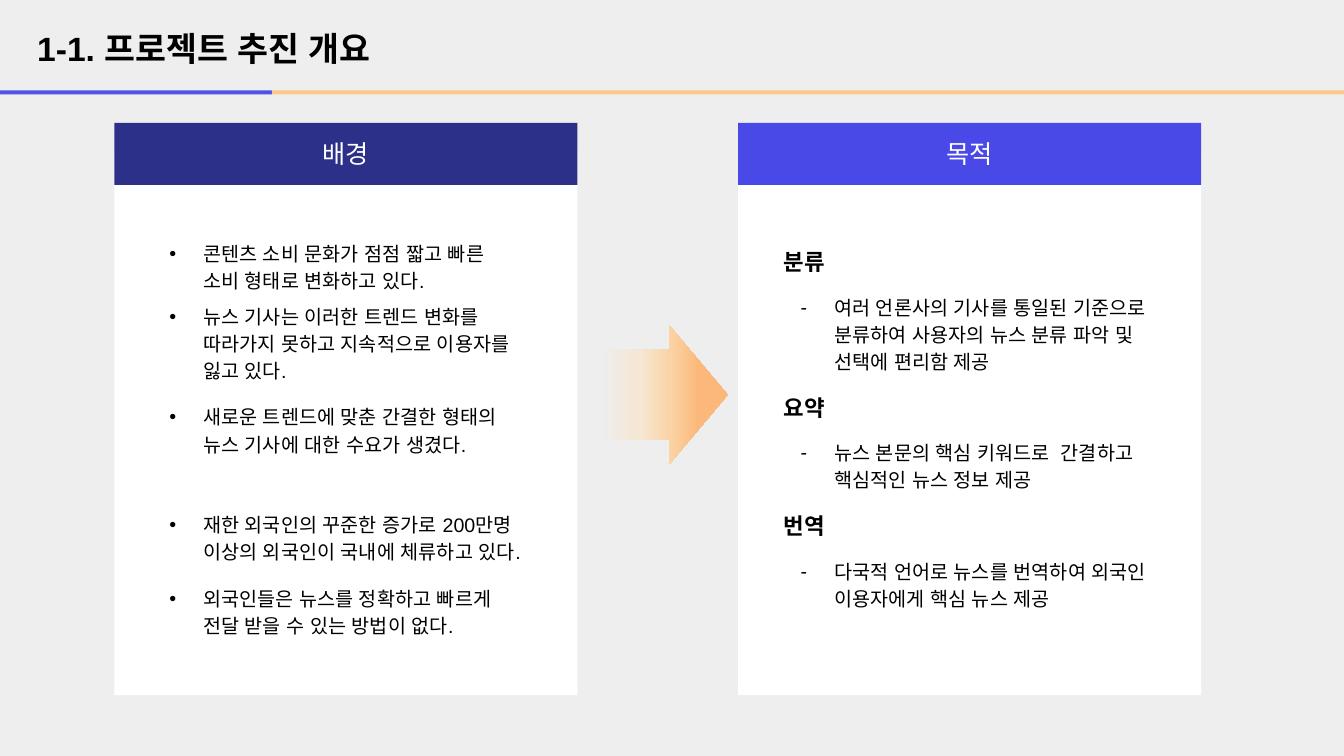
from lxml.etree import SubElement
from pptx import Presentation
from pptx.dml.color import RGBColor
from pptx.enum.shapes import MSO_CONNECTOR as Connector, MSO_SHAPE as Shape
from pptx.enum.text import MSO_ANCHOR as Anchor, MSO_AUTO_SIZE as AutoSize, PP_ALIGN as Align
from pptx.oxml.ns import qn
from pptx.util import Pt

PX = 9525
FONT = "Arial"
BLACK, WHITE, PAPER = "000000", "FFFFFF", "EEEEEE"
NAVY, BLUE, ORANGE = "2C3089", "4949E8", "FFC785"


def rgb(value):
    return RGBColor.from_string(value)


def emu(*lengths):
    return [length * PX for length in lengths]


def add_node(parent, tag, **attributes):
    return SubElement(parent, qn(tag), {key: str(value) for key, value in attributes.items()})


def assign(target, values):
    for key, value in values.items():
        setattr(target, key, value)


class Deck:
    def __init__(self, width, height):
        self.presentation = Presentation()
        assign(self.presentation, {"slide_width": width * PX, "slide_height": height * PX})
        self.slide = self.presentation.slides.add_slide(self.presentation.slide_layouts[6])
        background = self.slide.background.fill
        background.solid()
        background.fore_color.rgb = rgb(PAPER)

    def add_words(self, paragraph, words, size, color=BLACK, bold=False, **layout):
        assign(paragraph, layout)
        run = paragraph.add_run()
        run.text = words
        assign(run.font, {"size": Pt(size), "name": FONT, "bold": bold})
        run.font.color.rgb = rgb(color)
        add_node(run.font._element, "a:ea", typeface=FONT)

    def bullet(self, paragraph, mark):
        properties = paragraph._p.get_or_add_pPr()
        properties.set("marL", str(48 * PX))
        properties.set("indent", str(-32 * PX))
        add_node(add_node(properties, "a:buClr"), "a:srgbClr", val=BLACK)
        add_node(properties, "a:buFont", typeface=FONT)
        add_node(properties, "a:buChar", char=mark)

    def shape(self, kind, box):
        shape = self.slide.shapes.add_shape(kind, *emu(*box))
        shape.shadow.inherit = False
        shape.line.fill.background()
        return shape

    def block(self, box, color, words=""):
        block = self.shape(Shape.RECTANGLE, box)
        block.fill.solid()
        block.fill.fore_color.rgb = rgb(color)
        if words:
            block.text_frame.vertical_anchor = Anchor.MIDDLE
            self.add_words(block.text_frame.paragraphs[0], words, 18, WHITE, alignment=Align.CENTER)

    def panel(self, left, heading, color):
        self.block((left, 143, 441, 519), WHITE)
        self.block((left, 117, 441, 59), color, heading)

    def arrow(self, box, stops):
        arrow = self.shape(Shape.DOWN_ARROW, box)
        arrow.rotation = 270
        arrow.adjustments[0], arrow.adjustments[1] = 0.65, 0.42
        arrow.fill.gradient()
        arrow.fill.gradient_angle = 270
        stop_list = arrow._element.spPr.find(qn("a:gradFill")).find(qn("a:gsLst"))
        stop_list.clear()
        for percent, color in stops:
            stop = add_node(stop_list, "a:gs", pos=percent * 1000)
            add_node(stop, "a:srgbClr", val=color)

    def text(self, box):
        frame = self.slide.shapes.add_textbox(*emu(*box)).text_frame
        assign(frame, {"word_wrap": True, "auto_size": AutoSize.SHAPE_TO_FIT_TEXT})
        return frame

    def title(self, box, words):
        self.add_words(self.text(box).paragraphs[0], words, 24, bold=True)

    def passage(self, box, entries):
        frame = self.text(box)
        for index, (mark, gap, words) in enumerate(entries):
            paragraph = frame.add_paragraph() if index else frame.paragraphs[0]
            self.add_words(paragraph, words, 14 if mark else 16, bold=not mark,
                           line_spacing=1.15, space_before=Pt(gap))
            if mark:
                self.bullet(paragraph, mark)

    def rule(self, start, end, y, color):
        rule = self.slide.shapes.add_connector(Connector.STRAIGHT, *emu(start, y, end, y))
        rule.line.width = Pt(3)
        rule.line.color.rgb = rgb(color)
        tint = rule.line._ln.find(qn("a:solidFill")).find(qn("a:srgbClr"))
        add_node(tint, "a:alpha", val=95000)
        add_node(rule._element.spPr, "a:effectLst")


def main():
    background = [
        ("•", 0, "콘텐츠 소비 문화가 점점 짧고 빠른 소비 형태로 변화하고 있다."),
        ("•", 6.5, "뉴스 기사는 이러한 트렌드 변화를 따라가지 못하고 지속적으로 이용자를 잃고 있다."),
        ("•", 14, "새로운 트렌드에 맞춘 간결한 형태의 뉴스 기사에 대한 수요가 생겼다."),
        ("•", 38.5, "재한 외국인의 꾸준한 증가로 200만명 이상의 외국인이 국내에 체류하고 있다."),
        ("•", 14, "외국인들은 뉴스를 정확하고 빠르게 전달 받을 수 있는 방법이 없다."),
    ]
    purpose = [
        ("", 0, "분류"),
        ("-", 12, "여러 언론사의 기사를 통일된 기준으로 분류하여 사용자의 뉴스 분류 파악 및 선택에 편리함 제공"),
        ("", 12, "요약"),
        ("-", 12, "뉴스 본문의 핵심 키워드로  간결하고 핵심적인 뉴스 정보 제공"),
        ("", 12, "번역"),
        ("-", 12, "다국적 언어로 뉴스를 번역하여 외국인 이용자에게 핵심 뉴스 제공"),
    ]
    fade = [(0, PAPER), (8, PAPER), (38, "F6E6D2"), (61, "FBD1A0"), (79, "FCB87A"), (100, "FCB87A")]

    deck = Deck(1280, 720)
    deck.panel(109, "배경", NAVY)
    deck.panel(703, "목적", BLUE)
    deck.arrow((561, 310, 132, 132), fade)
    deck.passage((136, 222, 372, 417), background)
    deck.passage((737, 228, 372, 358), purpose)
    deck.title((26, 22, 366, 48), "1-1. 프로젝트 추진 개요")
    deck.rule(0, 259, 88, BLUE)
    deck.rule(259, 1280, 88, ORANGE)
    deck.presentation.save("out.pptx")


if __name__ == "__main__":
    main()
